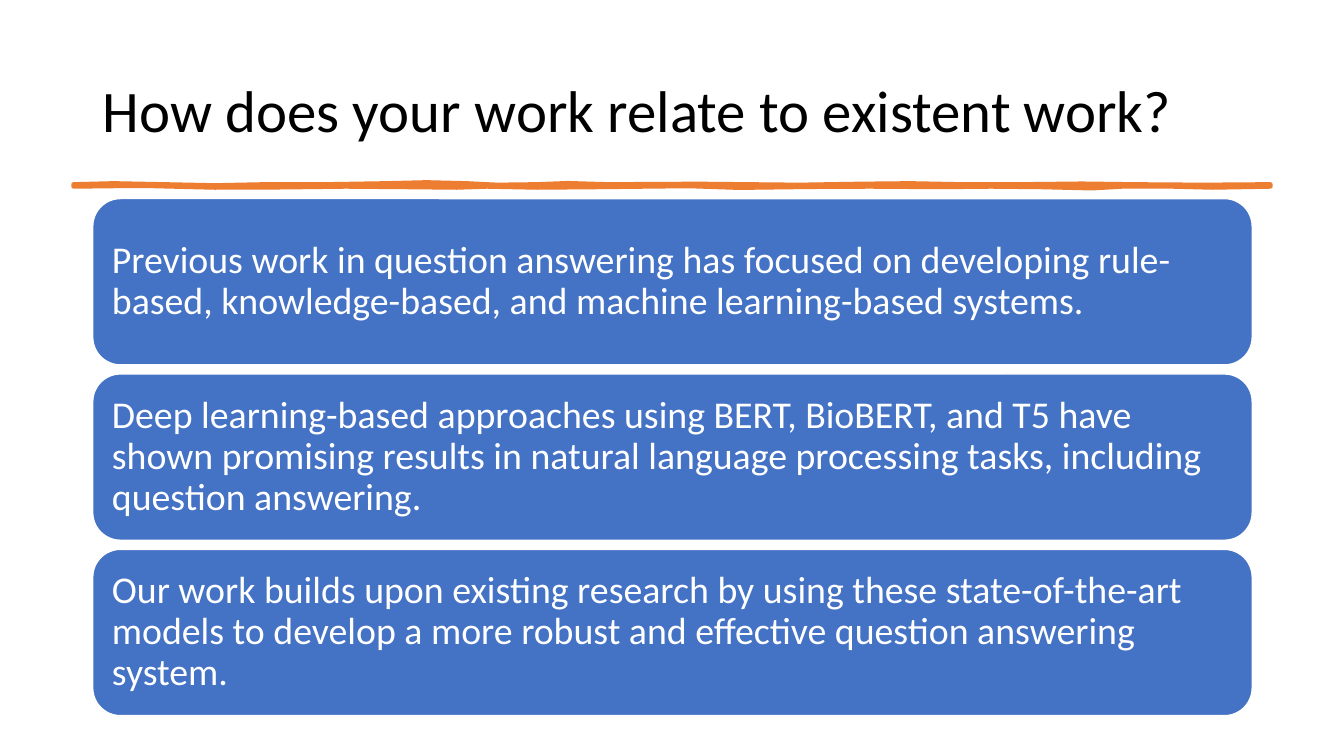
from dataclasses import dataclass

from pptx import Presentation
from pptx.dml.color import RGBColor
from pptx.enum.shapes import MSO_SHAPE
from pptx.enum.text import MSO_ANCHOR, MSO_AUTO_SIZE, PP_ALIGN
from pptx.util import Inches, Pt

# Content
TITLE = "How does your work relate to existent work?"
STATEMENTS = [
    "Previous work in question answering has focused on developing rule-based, "
    "knowledge-based, and machine learning-based systems.",
    "Deep learning-based approaches using BERT, BioBERT, and T5 have shown promising "
    "results in natural language processing tasks, including question answering.",
    "Our work builds upon existing research by using these state-of-the-art models to "
    "develop a more robust and effective question answering system.",
]
# Hand-drawn rule: inches from its left end, and waver in hundredths of an inch
UPPER_EDGE = [(0, 0), (0.4, -1), (0.9, 0), (1.4, 1), (1.9, 0), (2.5, 0), (3.1, -1),
              (3.5, -2), (3.9, -1), (4.2, 0.5), (4.6, 0), (4.9, -1.2), (5.3, 0),
              (6.2, -0.5), (7.2, 0.5), (7.8, -0.5), (8.3, -1), (8.8, 0), (9.4, 0),
              (10, -0.7), (10.5, 0), (11.2, 0.5), (11.87, 0)]
LOWER_EDGE = [(11.87, 0), (11.3, 1), (10.9, 0), (10.4, 0), (10.1, 1.7), (9.6, 0.5),
              (9.1, 0), (8.6, 0.5), (7.9, 0), (7.3, 0.3), (6.6, 1.2), (6.1, -0.5),
              (5.2, 0.5), (4.6, 1), (4.1, 0), (3.8, 1), (3.3, 0.5), (2.7, 0),
              (2, 0.8), (1.4, 1), (0.8, -0.5), (0.4, -0.5), (0, 0)]


@dataclass(frozen=True)
class Theme:
    font: str = "Calibri"
    title_size: float = 42
    body_size: float = 27
    ink: str = "000000"
    paper: str = "FFFFFF"
    box: str = "4472C4"
    accent: str = "ED7D31"


THEME = Theme()

# Layout in inches
WIDTH, HEIGHT = 13.33, 7.5
LEFT, CONTENT_WIDTH = 0.92, 11.5
TITLE_TOP, TITLE_HEIGHT = 0.4, 1.45
RULE_LEFT, RULE_TOP, RULE_THICKNESS = 0.73, 1.83, 0.02
BOX_TOP, BOX_HEIGHT, BOX_PITCH = 1.97, 1.65, 1.74
UNITS_PER_INCH = 1000  # freeform points are rounded to whole units


def place(shape, left, top, width, height):
    shape.left, shape.top = Inches(left), Inches(top)
    shape.width, shape.height = Inches(width), Inches(height)


def write(shape, text, size, color, inset):
    frame = shape.text_frame
    frame.word_wrap = True
    frame.auto_size = MSO_AUTO_SIZE.NONE
    frame.vertical_anchor = MSO_ANCHOR.MIDDLE
    frame.margin_left = frame.margin_right = Inches(inset)
    para = frame.paragraphs[0]
    para.alignment = PP_ALIGN.LEFT
    para.line_spacing = 0.9
    span = para.add_run()
    span.text = text
    span.font.name = THEME.font
    span.font.size = Pt(size)
    span.font.color.rgb = RGBColor.from_string(color)


def paint(shape, fill, line, line_width):
    shape.shadow.inherit = False
    shape.fill.solid()
    shape.fill.fore_color.rgb = RGBColor.from_string(fill)
    shape.line.color.rgb = RGBColor.from_string(line)
    shape.line.width = Pt(line_width)


def add_rule(page):
    edges = [(UPPER_EDGE, RULE_TOP), (LOWER_EDGE, RULE_TOP + RULE_THICKNESS)]
    points = [((RULE_LEFT + x) * UNITS_PER_INCH, (top + waver / 100) * UNITS_PER_INCH)
              for edge, top in edges for x, waver in edge]
    builder = page.shapes.build_freeform(*points[0], scale=Inches(1) / UNITS_PER_INCH)
    builder.add_line_segments(points[1:], close=True)
    paint(builder.convert_to_shape(), THEME.accent, THEME.accent, 3.25)


def main():
    deck = Presentation()
    deck.slide_width, deck.slide_height = Inches(WIDTH), Inches(HEIGHT)
    page = deck.slides.add_slide(deck.slide_layouts[5])

    # Title and rule
    title = page.shapes.title
    place(title, LEFT, TITLE_TOP, CONTENT_WIDTH, TITLE_HEIGHT)
    write(title, TITLE, size=THEME.title_size, color=THEME.ink, inset=0.1)
    add_rule(page)

    # Statement boxes
    for row, statement in enumerate(STATEMENTS):
        box = page.shapes.add_shape(
            MSO_SHAPE.ROUNDED_RECTANGLE, Inches(LEFT), Inches(BOX_TOP + row * BOX_PITCH),
            Inches(CONTENT_WIDTH), Inches(BOX_HEIGHT))
        paint(box, THEME.box, THEME.paper, 1)
        # The rounded corners already add 0.08 to the inset
        write(box, statement, size=THEME.body_size, color=THEME.paper, inset=0.11)

    deck.save("out.pptx")


if __name__ == "__main__":
    main()
